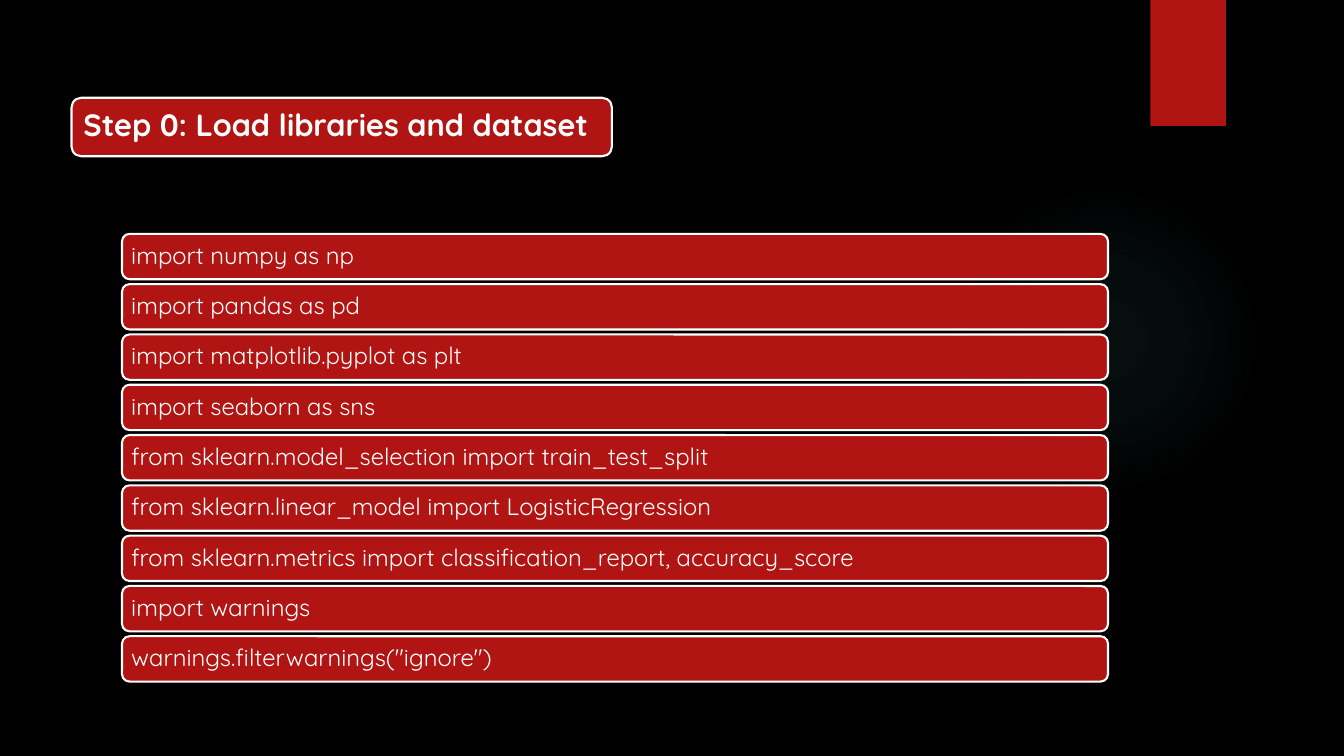
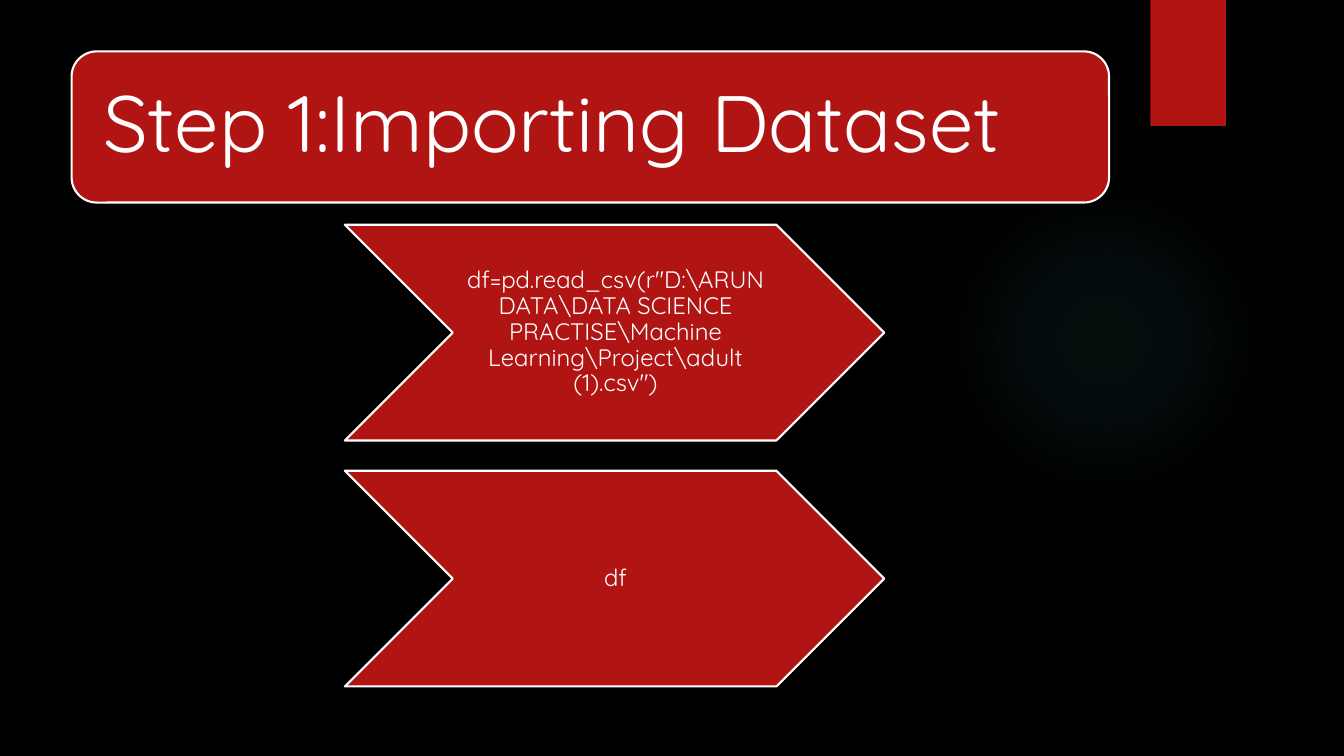
from pptx import Presentation
from pptx.dml.color import RGBColor
from pptx.enum.shapes import MSO_SHAPE
from pptx.enum.text import MSO_ANCHOR, PP_ALIGN
from pptx.oxml import parse_xml
from pptx.oxml.ns import nsdecls, qn
from pptx.util import Inches, Pt

RECT, OVAL = MSO_SHAPE.RECTANGLE, MSO_SHAPE.OVAL
ROUNDED, CHEVRON = MSO_SHAPE.ROUNDED_RECTANGLE, MSO_SHAPE.CHEVRON
LEFT, CENTER, MIDDLE = PP_ALIGN.LEFT, PP_ALIGN.CENTER, MSO_ANCHOR.MIDDLE

BLACK = RGBColor(0x00, 0x00, 0x00)
RED = RGBColor(0xB0, 0x15, 0x13)
WHITE = RGBColor(0xFF, 0xFF, 0xFF)
GLOW = RGBColor(0x50, 0xB9, 0xC1)
GLOW_STOPS = [(0, 7), (36, 6), (69, 0)]  # position %, opacity %
FONT = "Quicksand"
BODY_SIZE = 17

# Content
LOAD_TITLE = "Step 0: Load libraries and dataset"
CODE_LINES = [
    "import numpy as np",
    "import pandas as pd",
    "import matplotlib.pyplot as plt",
    "import seaborn as sns",
    "from sklearn.model_selection import train_test_split",
    "from sklearn.linear_model import LogisticRegression",
    "from sklearn.metrics import classification_report, accuracy_score",
    "import warnings",
    'warnings.filterwarnings("ignore")',
]
IMPORT_TITLE = "Step 1:Importing Dataset"
IMPORT_STEPS = [
    r'df=pd.read_csv(r"D:\ARUN DATA\DATA SCIENCE PRACTISE'
    r'\Machine Learning\Project\adult (1).csv")',
    "df",
]


def add_plain(s, kind, x, y, w, h):
    """Red shape without outline or shadow."""
    sp = s.shapes.add_shape(kind, Inches(x), Inches(y), Inches(w), Inches(h))
    sp.shadow.inherit = False
    sp.fill.solid()
    sp.fill.fore_color.rgb = RED
    sp.line.fill.background()
    return sp


def add_box(s, kind, box, text, size, insets, align=LEFT, bold=False):
    """Red shape with a white outline and white text."""
    sp = add_plain(s, kind, *box)
    sp.line.color.rgb = WHITE
    sp.line.width = Pt(1.5)
    tf = sp.text_frame
    tf.word_wrap = True
    tf.vertical_anchor = MIDDLE
    (tf.margin_left, tf.margin_top,
     tf.margin_right, tf.margin_bottom) = [Inches(i) for i in insets]
    p = tf.paragraphs[0]
    p.text = text
    p.alignment = align
    p.line_spacing = 0.9
    p.font.name, p.font.size, p.font.bold = FONT, Pt(size), bold
    p.font.color.rgb = WHITE


def add_glow(s):
    sp = add_plain(s, OVAL, 9.41, 1.83, 3.08, 3.08)
    stops = "".join(
        f'<a:gs pos="{pos * 1000}"><a:srgbClr val="{GLOW}">'
        f'<a:alpha val="{alpha * 1000}"/></a:srgbClr></a:gs>'
        for pos, alpha in GLOW_STOPS)
    gradient = parse_xml(
        f'<a:gradFill {nsdecls("a")}><a:gsLst>{stops}</a:gsLst>'
        '<a:path path="circle"><a:fillToRect l="50000" t="50000" '
        'r="50000" b="50000"/></a:path></a:gradFill>')
    spPr = sp._element.spPr
    spPr.replace(spPr.find(qn("a:solidFill")), gradient)


def add_slide(prs):
    """Blank slide with the shared background, glow and ribbon."""
    s = prs.slides.add_slide(prs.slide_layouts[6])
    s.background.fill.solid()
    s.background.fill.fore_color.rgb = BLACK
    add_glow(s)
    add_plain(s, RECT, 11.41, 0, 0.75, 1.25)
    return s


def build_load_slide(prs):
    s = add_slide(prs)
    top, pitch = 2.32, 0.499
    for i, line in enumerate(CODE_LINES):
        add_box(s, ROUNDED, (1.21, top + i * pitch, 9.78, 0.45),
                line, BODY_SIZE, [0.07] * 4)
    add_box(s, ROUNDED, (0.71, 0.97, 5.36, 0.58),
            LOAD_TITLE, 22, [0.09] * 4, bold=True)


def build_import_slide(prs):
    s = add_slide(prs)
    add_box(s, ROUNDED, (0.71, 0.51, 10.29, 1.5),
            IMPORT_TITLE, 57, [0.24] * 4)
    top, pitch = 2.23, 2.44
    for i, step in enumerate(IMPORT_STEPS):
        add_box(s, CHEVRON, (3.42, top + i * pitch, 5.35, 2.14),
                step, BODY_SIZE, [0.02, 0.01, 0, 0.01], CENTER)


def main():
    prs = Presentation()
    prs.slide_width, prs.slide_height = Inches(13.33), Inches(7.5)
    build_load_slide(prs)
    build_import_slide(prs)
    prs.save("out.pptx")


if __name__ == "__main__":
    main()
